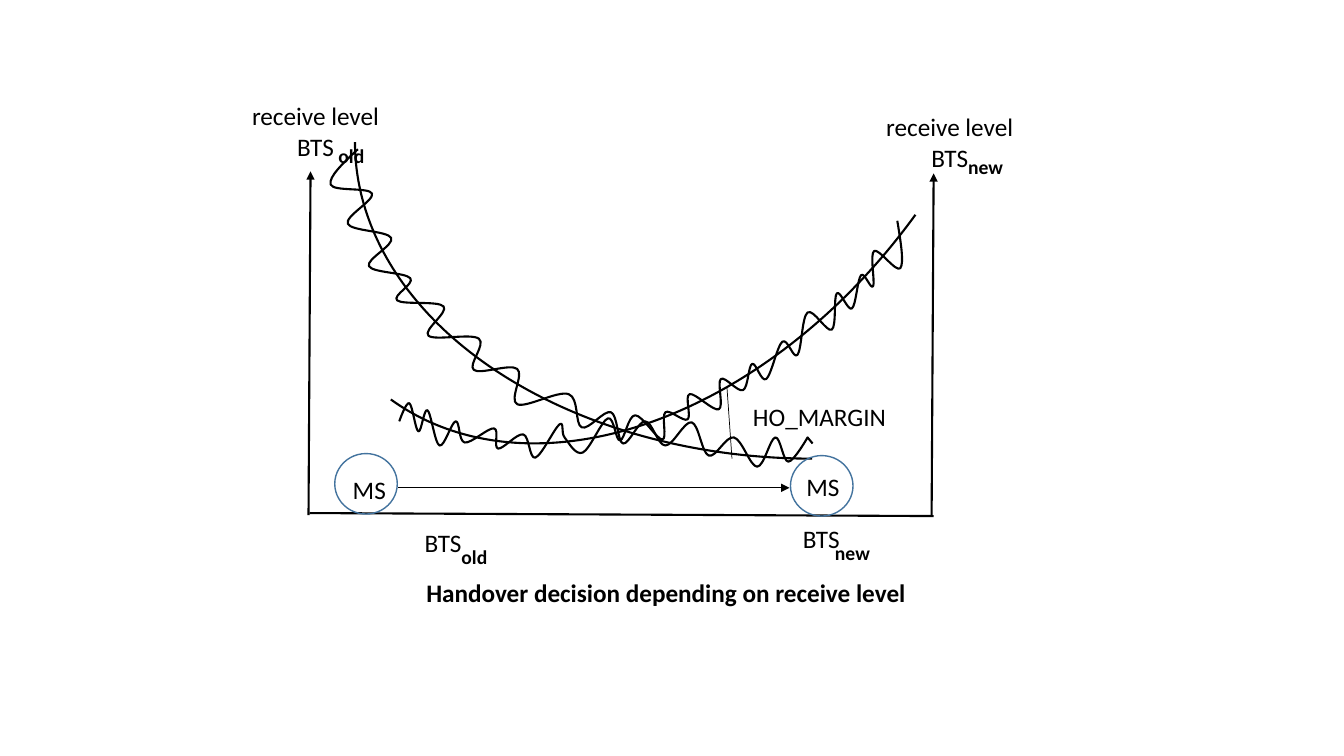
from lxml.etree import SubElement
from pptx import Presentation
from pptx.dml.color import RGBColor
from pptx.enum.shapes import MSO_CONNECTOR as LINK, MSO_SHAPE as SHAPE
from pptx.enum.text import MSO_AUTO_SIZE as FIT, PP_ALIGN as ALIGN
from pptx.oxml.ns import qn
from pptx.util import Inches, Pt

CELL = Inches(0.1)
INK, RING = "000000", "43739E"
NEW_LEVEL = [
    (89, 21.9), (89.3, 26.6), (86.7, 24.9), (86.6, 28.4), (85.4, 27.3),
    (84.5, 30.6), (83, 29.1), (82.5, 32.7), (80.1, 31), (79.1, 35.2),
    (77.6, 33.9), (76, 37.6), (74.6, 36.1), (73.7, 38.7), (71.5, 37.6),
    (71.3, 40.6), (68.4, 39.1), (68.2, 41.6), (66, 40.9), (65.7, 43.6),
    (63, 41.2), (61.5, 43.7), (60.3, 41.5), (57.8, 44.9), (56, 43.4),
    (55.5, 42.1), (53.1, 45.4), (51.9, 43.1), (49.4, 44.5), (49, 42.5),
    (46.1, 43.9), (45.2, 41.8), (43.6, 44.2), (42.4, 40.7), (41.5, 42.8),
    (40.6, 40), (39.6, 41.8),
]
OLD_LEVEL = [
    (35.5, 14.8), (32.8, 18.3), (36.9, 19.2), (34.5, 22.2), (38.8, 23.6),
    (36.6, 26.4), (40.7, 27.6), (39.4, 29.8), (44, 30.4), (42.5, 33.3),
    (47.5, 33.6), (47, 36.7), (51.3, 36.6), (51.3, 40.1), (56.4, 39.1),
    (57.7, 42.4), (60.6, 40.9), (61.8, 44), (64, 41.8), (66, 44.2),
    (68.6, 41.9), (70.3, 45.2), (72.8, 43.4), (75.1, 46.3), (76.9, 43.4),
    (78.2, 45.8), (80.1, 43.4),
]


def grid(*cells):
    """Turn counts of grid cells into slide lengths."""
    return [round(cell * CELL) for cell in cells]


def color(code):
    """Return the colour for a hex string."""
    return RGBColor.from_string(code)


def style(shape, code, weight):
    """Give a shape a plain outline without fill or shadow."""
    shape.shadow.inherit = False
    shape.fill.background()
    shape.line.color.rgb = color(code)
    shape.line.width = Pt(weight)


def add_line(page, start, end, weight=1.5, arrow=False):
    """Draw a straight line, optionally ending in an arrowhead."""
    line = page.shapes.add_connector(LINK.STRAIGHT, *grid(*start, *end))
    line.line.color.rgb = color(INK)
    line.line.width = Pt(weight)
    if arrow:
        SubElement(line.line._get_or_add_ln(), qn("a:tailEnd"), type="triangle")
    SubElement(line.element.spPr, qn("a:effectLst"))


def add_arc(page, left, top, turn):
    """Draw the mean receive level as a turned quarter ellipse."""
    arc = page.shapes.add_shape(SHAPE.ARC, *grid(left, top, 90.7, 62.8))
    arc.rotation = turn
    style(arc, INK, 1.5)


def curve_points(knots):
    """List handles and knots of a smooth curve through all knots."""
    spots = [complex(*knot) for knot in knots]
    slopes = [(after - before) / 6 for before, after in zip(spots, spots[2:])]
    first = (spots[1] - slopes[0] - spots[0]) / 2
    slopes = [first, *slopes, 0]
    points = []
    for i in range(len(spots) - 1):
        points += [spots[i] + slopes[i], spots[i + 1] - slopes[i + 1], spots[i + 1]]
    return [tuple(grid(point.real, point.imag)) for point in points]


def add_wave(page, knots, tail=()):
    """Draw a fluctuating level as Bezier curves with a straight tail."""
    points = curve_points(knots)
    builder = page.shapes.build_freeform(*grid(*knots[0]))
    builder.add_line_segments(points + [tuple(grid(*spot)) for spot in tail], close=False)
    wave = builder.convert_to_shape()
    outline = wave.element.find(".//" + qn("a:path"))
    steps = outline.findall(qn("a:lnTo"))
    for i in range(0, len(points), 3):
        curve = SubElement(outline, qn("a:cubicBezTo"))
        for step in steps[i:i + 3]:
            curve.append(step[0])
            outline.remove(step)
    for step in steps[len(points):]:
        outline.append(step)
    style(wave, INK, 1.5)


def add_text(page, text, place, size=18, bold=False, align=ALIGN.CENTER):
    """Write one text box."""
    box = page.shapes.add_textbox(*grid(*place))
    frame = box.text_frame
    frame.word_wrap = True
    frame.auto_size = FIT.SHAPE_TO_FIT_TEXT
    frame.text = text
    for para in frame.paragraphs:
        para.alignment = align
        for span in para.runs:
            span.font.name = "Calibri"
            span.font.size = Pt(size)
            span.font.bold = bold
            span.font.color.rgb = color(INK)


def add_index(page, text, left, top):
    """Write the small bold index of a station."""
    add_text(page, text, (left, top, 8.1, 3.4), 14, True)


def add_axis_title(page, index, left, top):
    """Name a level axis after its station."""
    add_text(page, "receive level\nBTS", (left, top, 16.4, 7.1))
    add_index(page, index, left + 7.7, top + 4.3)


def add_station(page, index, left, top):
    """Name a station below the path of the mobile."""
    add_text(page, "BTS", (left, top, 8.1, 4))
    add_index(page, index, left + 3.1, top + 1.8)


def add_mobile(page, left, top, text_left, text_top):
    """Draw a mobile station as a labelled ring."""
    add_text(page, "MS", (text_left, text_top, 5.5, 4), align=ALIGN.LEFT)
    ring = page.shapes.add_shape(SHAPE.OVAL, *grid(left, top, 6.2, 6))
    style(ring, RING, 1)


def main():
    """Build the handover slide."""
    deck = Presentation()
    deck.slide_width, deck.slide_height = Inches(13.33), Inches(7.5)
    page = deck.slides.add_slide(deck.slide_layouts[6])

    add_line(page, (72.1, 38.4), (72.6, 45.5), 0.5)
    add_arc(page, 35.2, -17.3, 180)
    add_wave(page, NEW_LEVEL)
    add_line(page, (30.6, 51.1), (30.8, 17), arrow=True)
    add_line(page, (92.4, 51.2), (92.6, 17.2), arrow=True)
    add_arc(page, 20, -28.5, 125.9)
    add_wave(page, OLD_LEVEL, [(80.6, 44)])
    add_line(page, (92.6, 51.2), (30.7, 50.9))
    add_line(page, (39.5, 48.4), (78.3, 48.4), 0.5, True)

    add_mobile(page, 78.4, 45.2, 79, 46.3)
    add_mobile(page, 33.2, 45, 34, 46.6)
    add_station(page, "new", 77.4, 51.4)
    add_axis_title(page, "new", 86, 10.6)
    add_station(page, "old", 39.9, 51.8)
    add_axis_title(page, "old", 23.1, 9.5)
    add_text(page, "Handover decision depending on receive level",
             (41.3, 56.8, 53.7, 4), bold=True, align=ALIGN.LEFT)
    add_text(page, "HO_MARGIN", (73.7, 39.3, 22.7, 4), align=ALIGN.LEFT)
    deck.save("out.pptx")


main()
